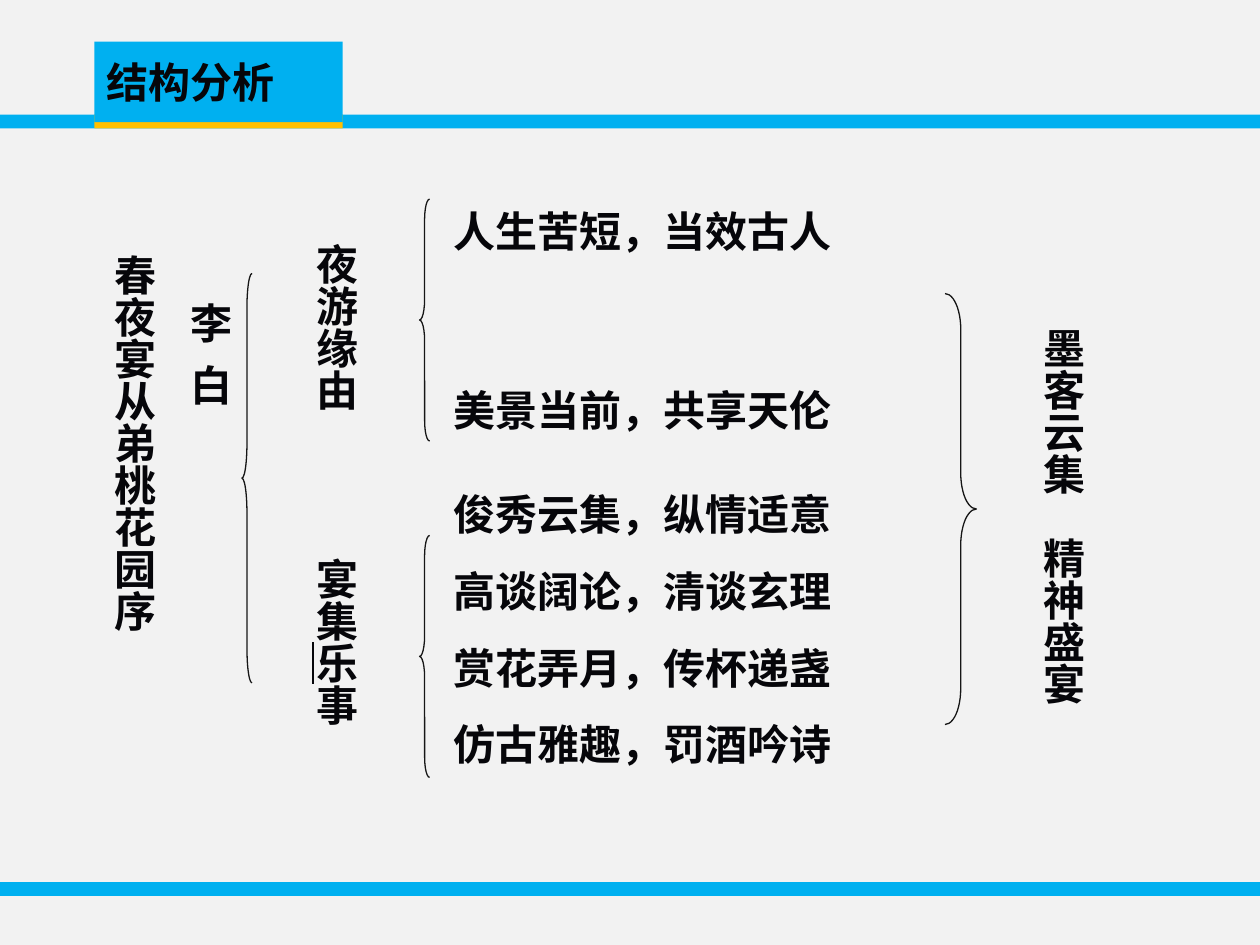
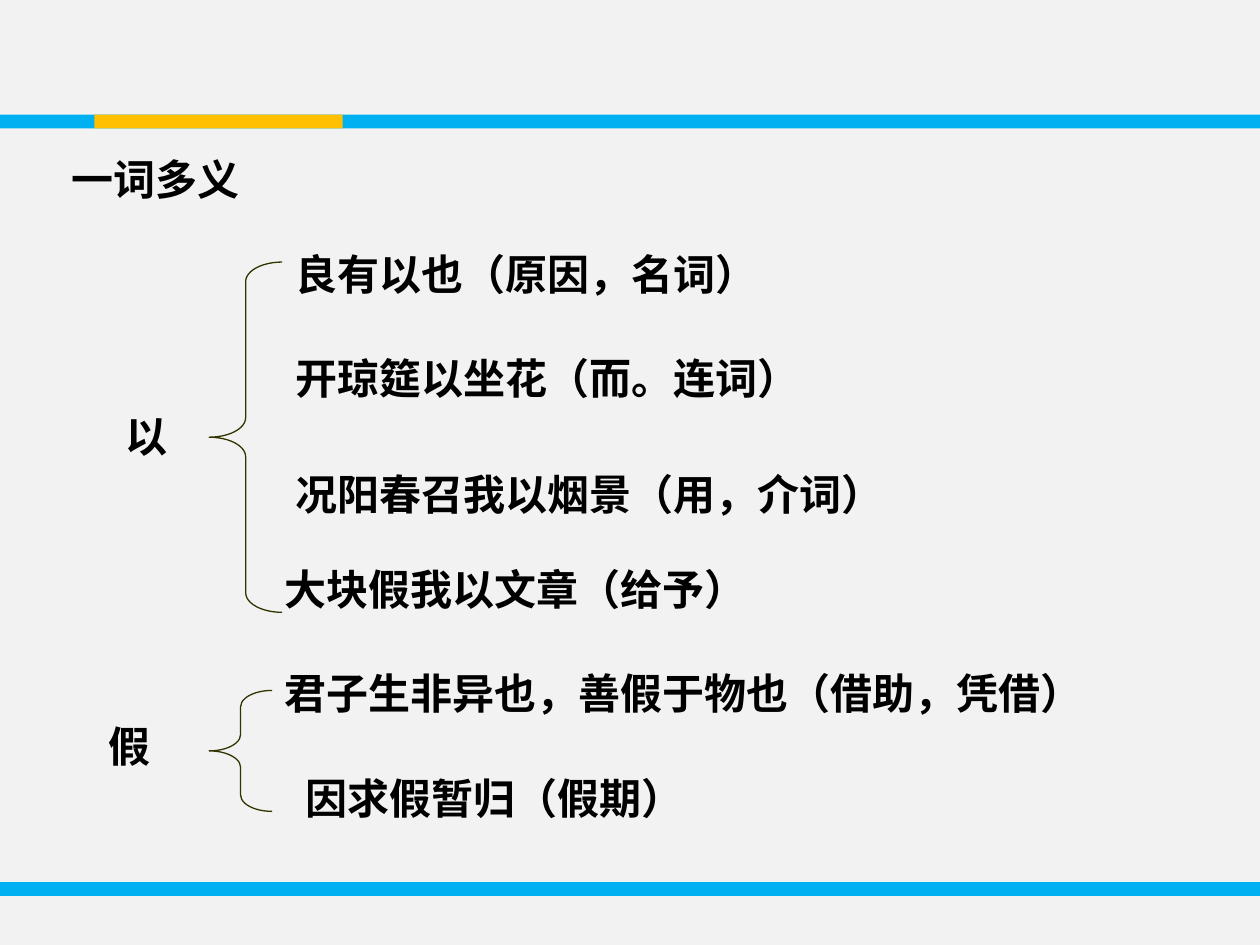
from lxml.etree import SubElement
from pptx import Presentation
from pptx.dml.color import RGBColor
from pptx.enum.shapes import MSO_SHAPE
from pptx.enum.text import MSO_ANCHOR, MSO_AUTO_SIZE, PP_ALIGN
from pptx.oxml.ns import qn
from pptx.util import Inches, Pt

FONT, SIZE = "Noto Sans CJK SC", 24
PAPER, BLUE, GOLD = "F2F2F2", "00B0F0", "FFC000"
INK, BLACK, BRACE_GREY, BRACE_OLIVE = "06060A", "000000", "161616", "333300"
LEFT, RIGHT = MSO_SHAPE.LEFT_BRACE, MSO_SHAPE.RIGHT_BRACE
LINE_H = 0.5

# Bands shared by both slides: left, top, width, height, colour
BANDS = [(0, 7, 10, 0.11, BLUE), (0, 0.91, 10, 0.11, BLUE), (0.75, 0.91, 1.97, 0.11, GOLD)]

# Slide 1: box, lines
SECTION = "结构分析"
ESSAY = (0.71, 1.92, 1.21, 3.58), ["李 白", "春夜宴从弟桃花园序"]
COLUMNS = [
    ((2.32, 1.83, 0.6, 1.92), ["夜游缘由"]),
    ((2.32, 4.33, 0.6, 2.08), ["宴集乐事"]),
    ((8.09, 2.5, 0.6, 3.92), ["墨客云集　精神盛宴"]),
]
POINTS = [
    ((3.5, 1.58, 3.83, LINE_H), ["人生苦短，当效古人"]),
    ((3.5, 3, 3.83, LINE_H), ["美景当前，共享天伦"]),
    ((3.5, 3.83, 4, 2.94),
     ["俊秀云集，纵情适意", "高谈阔论，清谈玄理", "赏花弄月，传杯递盏", "仿古雅趣，罚酒吟诗"]),
]
STRUCTURE_BRACES = [
    (LEFT, (1.92, 2.17, 0.08, 3.25)),
    (LEFT, (3.33, 1.58, 0.08, 1.92)),
    (LEFT, (3.33, 4.25, 0.08, 1.92)),
    (RIGHT, (7.5, 2.33, 0.25, 3.42)),
]

# Slide 2: each word with its place, its brace, and (left, top, example)
TOPIC = (0.47, 1.17, 2.84, 0.68), ["一词多义"]
WORDS = [
    ("以", 0.53, 3.21, (1.66, 2.08, 0.58, 2.78), 0.155, [
        (2.25, 1.92, "良有以也（原因，名词）"),
        (2.25, 2.75, "开琼筵以坐花（而。连词）"),
        (2.25, 3.67, "况阳春召我以烟景（用，介词）"),
        (2.16, 4.42, "大块假我以文章（给予）")]),
    ("假", 0.4, 5.67, (1.66, 5.48, 0.5, 0.96), 0.13, [
        (2.16, 5.25, "君子生非异也，善假于物也（借助，凭借）"),
        (2.33, 6.08, "因求假暂归（假期）")]),
]


def rgb(color):
    return RGBColor.from_string(color)


def inches(box):
    return [Inches(v) for v in box]


def style(p, color):
    for r in p.runs:
        r.font.size, r.font.bold, r.font.name = Pt(SIZE), True, FONT
        r.font.color.rgb = rgb(color)
        SubElement(r.font._element, qn("a:ea")).set("typeface", FONT)


def add_rect(s, box, color):
    sp = s.shapes.add_shape(MSO_SHAPE.RECTANGLE, *inches(box))
    sp.shadow.inherit = False
    sp.fill.solid()
    sp.fill.fore_color.rgb = rgb(color)
    sp.line.fill.background()
    return sp


def add_text(s, box, lines, color, vertical=False, align=PP_ALIGN.LEFT):
    tf = s.shapes.add_textbox(*inches(box)).text_frame
    tf.word_wrap = True
    tf.auto_size = MSO_AUTO_SIZE.SHAPE_TO_FIT_TEXT
    if vertical:
        tf._txBody.bodyPr.set("vert", "eaVert")
        tf.margin_left = tf.margin_right = Inches(0.05)
        tf.margin_top = tf.margin_bottom = Inches(0.1)
    tf.text = "\n".join(lines)
    for i, p in enumerate(tf.paragraphs):
        p.alignment = align
        if i:
            p.space_before = Pt(15)
        style(p, color)
    return tf


def add_brace(s, kind, box, color, curve):
    """Draw a brace whose quarter curves are `curve` inches high."""
    sp = s.shapes.add_shape(kind, *inches(box))
    sp.shadow.inherit = False
    sp.adjustments[0] = curve / min(box[2:])
    sp.fill.background()
    sp.line.color.rgb = rgb(color)
    sp.line.width = Pt(0.75)


def new_slide(prs):
    s = prs.slides.add_slide(prs.slide_layouts[6])
    s.background.fill.solid()
    s.background.fill.fore_color.rgb = rgb(PAPER)
    for *box, color in BANDS:
        add_rect(s, box, color)
    return s


def structure_slide(prs):
    s = new_slide(prs)
    # Author beside the title, lowered and spaced out
    author = add_text(s, *ESSAY, INK, vertical=True).paragraphs[0]
    author._p.get_or_add_pPr().set("marL", str(Inches(0.38)))
    author._p.get_or_add_pPr().set("indent", "0")
    author.runs[0].font._element.set("spc", "290")

    for box, lines in COLUMNS:
        p = add_text(s, box, lines, INK, vertical=True).paragraphs[0]
        if "乐" in p.text:
            # Underline one character
            before, after = p.text.split("乐")
            p.text = before
            for part in ("乐", after):
                p.add_run().text = part
            style(p, INK)
            p.runs[1].font.underline = True
    for box, lines in POINTS:
        add_text(s, box, lines, INK)
    for kind, box in STRUCTURE_BRACES:
        add_brace(s, kind, box, BRACE_GREY, box[3] / 12)

    # Section tab
    tf = add_rect(s, (0.75, 0.33, 1.97, 0.64), BLUE).text_frame
    tf.text = SECTION
    tf.vertical_anchor = MSO_ANCHOR.MIDDLE
    tf.paragraphs[0].alignment = PP_ALIGN.LEFT
    style(tf.paragraphs[0], INK)


def meanings_slide(prs):
    s = new_slide(prs)
    add_text(s, *TOPIC, BLACK)
    for word, left, top, brace, curve, examples in WORDS:
        add_text(s, (left, top, 1.26, LINE_H), [word], BLACK, align=PP_ALIGN.CENTER)
        add_brace(s, LEFT, brace, BRACE_OLIVE, curve)
        for x, y, example in examples:
            add_text(s, (x, y, 7, LINE_H), [example], BLACK)


def main():
    prs = Presentation()
    prs.slide_width, prs.slide_height = Inches(10), Inches(7.5)
    structure_slide(prs)
    meanings_slide(prs)
    prs.save("out.pptx")


if __name__ == "__main__":
    main()
